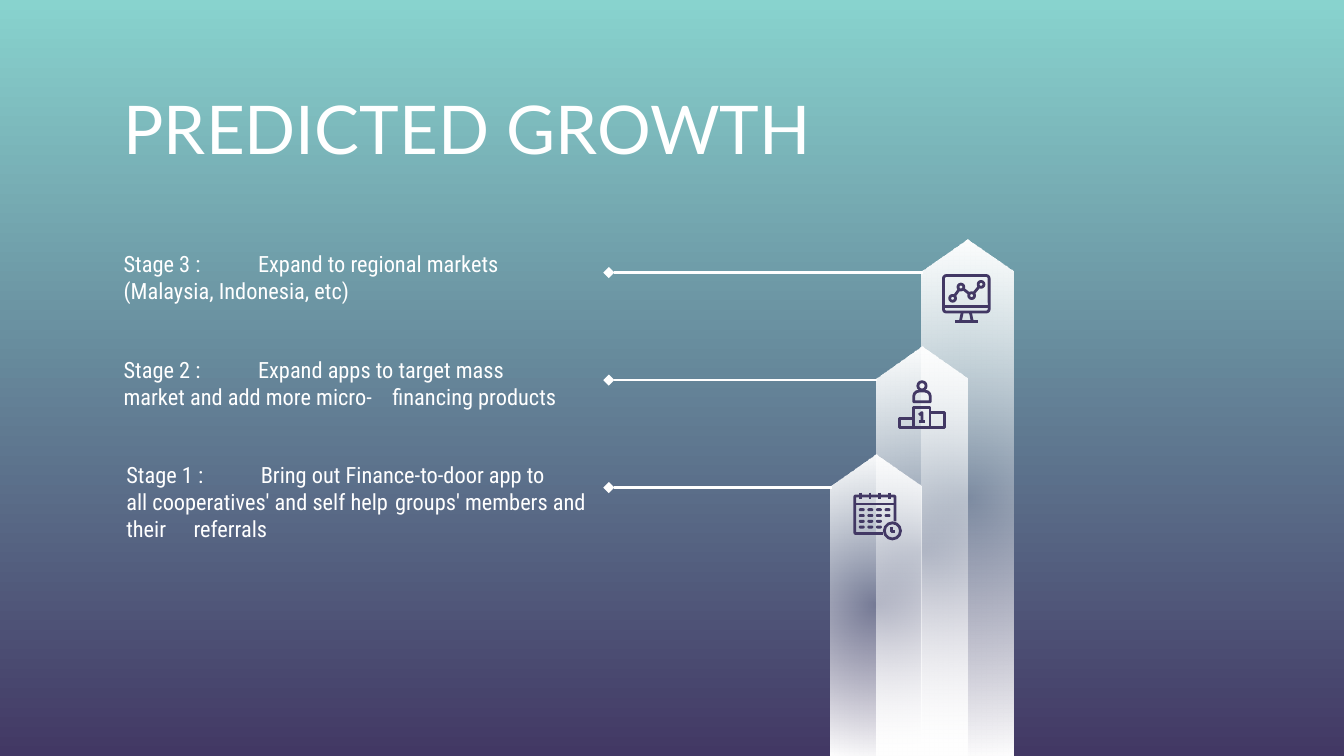
from itertools import pairwise
from math import hypot

from lxml.etree import SubElement
from pptx import Presentation
from pptx.dml.color import RGBColor
from pptx.enum.shapes import MSO_CONNECTOR, MSO_SHAPE
from pptx.enum.text import MSO_ANCHOR, MSO_AUTO_SIZE, PP_ALIGN
from pptx.oxml.ns import qn
from pptx.util import Inches, Pt

CELL = Inches(0.02)
COLUMNS, ROWS = 500, 281.25
WHITE = RGBColor(0xFF, 0xFF, 0xFF)
TEAL = RGBColor(0x88, 0xD3, 0xCE)
PURPLE = RGBColor(0x42, 0x38, 0x64)

STAGES = [
    ("Stage 1 : \tBring out Finance-to-door app to \tall cooperatives' and self help "
     "\tgroups' members and their \treferrals", (42, 166.5, 184.5, 28)),
    ("Stage 2 :\tExpand apps to target mass \tmarket and add more micro-"
     "\tfinancing products", (41, 127.5, 172.5, 28)),
    ("Stage 3 :\tExpand to regional markets \t(Malaysia, Indonesia, etc)",
     (41, 88, 172.5, 28)),
]
PILLAR_LEFT, PILLAR_TOP = 309, 169
PILLAR_WIDTH, PILLAR_RISE, ROOF_HEIGHT = 34, 40, 12
LINE_END = 226.5


def cells(*counts):
    return [round(count * CELL) for count in counts]


def paint_background(slide):
    fill = slide.background.fill
    fill.gradient()
    fill.gradient_angle = 270
    for stop, color in zip(fill.gradient_stops, (TEAL, PURPLE)):
        stop.color.rgb = color


def fill_placeholder(box, text, area, font_name, size):
    box.left, box.top, box.width, box.height = cells(*area)
    frame = box.text_frame
    frame.text = text
    frame.word_wrap = True
    frame.auto_size = MSO_AUTO_SIZE.NONE
    frame.vertical_anchor = MSO_ANCHOR.TOP
    frame.margin_left = frame.margin_right = Inches(0.1)
    frame.margin_top = frame.margin_bottom = Inches(0.1)
    para = frame.paragraphs[0]
    para.alignment = PP_ALIGN.LEFT
    para.space_before = Pt(0)
    para.line_spacing = 1.0
    para.font.name = font_name
    para.font.size = Pt(size)
    para.font.bold = False
    para.font.color.rgb = WHITE
    properties = para._p.get_or_add_pPr()
    properties.set("marL", "0")
    properties.set("indent", "0")
    SubElement(properties, qn("a:buNone"))
    properties.append(properties.find(qn("a:defRPr")))


def add_outline(shapes, points, closed=False):
    start, *others = [cells(*point) for point in points]
    builder = shapes.build_freeform(*start)
    builder.add_line_segments(others, close=closed)
    shape = builder.convert_to_shape()
    shape.shadow.inherit = False
    shape.fill.background()
    return shape


def pillar_corner(level):
    return PILLAR_LEFT + level * PILLAR_WIDTH / 2, PILLAR_TOP - level * PILLAR_RISE


def add_pillar(slide, level):
    left, top = pillar_corner(level)
    right, shoulder = left + PILLAR_WIDTH, top + ROOF_HEIGHT
    points = [((left + right) / 2, top), (left, shoulder), (left, ROWS),
              (right, ROWS), (right, shoulder)]
    shape = add_outline(slide.shapes, points, closed=True)
    shape.line.fill.background()
    properties = shape._element.spPr
    gradient = SubElement(properties, qn("a:gradFill"))
    stops = SubElement(gradient, qn("a:gsLst"))
    for position, alpha in ((0, 21000), (100000, 100000)):
        stop = SubElement(stops, qn("a:gs"), pos=str(position))
        color = SubElement(stop, qn("a:srgbClr"), val=str(WHITE))
        SubElement(color, qn("a:alpha"), val=str(alpha))
    circle = SubElement(gradient, qn("a:path"), path="circle")
    SubElement(circle, qn("a:fillToRect"), l="50000", t="50000", r="50000", b="50000")
    properties.replace(properties.find(qn("a:noFill")), gradient)


def add_pointer(slide, level):
    left, top = pillar_corner(level)
    row = top + 12.4
    ends = cells(left + 0.4, row, LINE_END, row)
    connector = slide.shapes.add_connector(MSO_CONNECTOR.STRAIGHT, *ends)
    connector.line.color.rgb = WHITE
    connector.line.width = Pt(1.5)
    SubElement(connector.line._get_or_add_ln(), qn("a:tailEnd"), type="diamond")
    SubElement(connector._element.spPr, qn("a:effectLst"))


class Icon:
    def __init__(self, slide, left, top):
        self.shapes = slide.shapes.add_group_shape().shapes
        self.left, self.top = left, top

    def ink(self, shape):
        shape.line.color.rgb = PURPLE
        shape.line.width = Pt(1.5)

    def stroke(self, *points):
        moved = [(self.left + x, self.top + y) for x, y in points]
        self.ink(add_outline(self.shapes, moved))

    def form(self, kind, x, y, width, height, rounding=None, solid=False):
        area = cells(self.left + x, self.top + y, width, height)
        shape = self.shapes.add_shape(kind, *area)
        shape.shadow.inherit = False
        if rounding is not None:
            shape.adjustments[0] = rounding
        if solid:
            shape.fill.solid()
            shape.fill.fore_color.rgb = PURPLE
            shape.line.fill.background()
        else:
            shape.fill.background()
            self.ink(shape)


def draw_calendar(slide):
    icon = Icon(slide, 317.5, 183)
    icon.stroke((15.5, 11), (15.5, 1.8), (15.2, 1.5), (0.8, 1.5), (0.5, 1.8),
                (0.5, 15.2), (0.8, 15.5), (11, 15.5))
    icon.stroke((0.5, 4.5), (15.5, 4.5))
    for ring in range(4):
        x = 2.5 + ring * 3.67
        icon.stroke((x, 0.3), (x, 2.7))
    for row, days in enumerate((4, 4, 3, 3)):
        for day in range(days):
            icon.form(MSO_SHAPE.ROUNDED_RECTANGLE, 2 + day * 3.2, 6.1 + row * 2.15,
                      2.2, 1.1, 0.5, solid=True)
    icon.form(MSO_SHAPE.OVAL, 11.5, 11.5, 6, 6)
    icon.stroke((14.3, 13.2), (14.3, 14.8), (15.4, 14.8))


def draw_podium(slide):
    icon = Icon(slide, 334, 141.5)
    icon.form(MSO_SHAPE.OVAL, 7.45, 0.5, 3.1, 3.1)
    icon.form(MSO_SHAPE.ROUND_2_SAME_RECTANGLE, 5.9, 4, 6.2, 4, 0.5)
    for block in ((0.5, 14.1, 5.4, 3.4), (5.9, 10, 6.1, 7.5), (12, 12, 5.5, 5.5)):
        icon.form(MSO_SHAPE.RECTANGLE, *block)
    icon.stroke((7.9, 12.9), (9, 12), (9, 15.3))
    icon.stroke((7.9, 15.3), (10.1, 15.3))


def draw_monitor(slide):
    icon = Icon(slide, 350.5, 102)
    icon.form(MSO_SHAPE.ROUNDED_RECTANGLE, 0.5, 0.5, 17, 13.6, 0.08)
    icon.stroke((0.5, 12), (17.5, 12))
    for foot, neck in ((6.8, 7.5), (11.2, 10.5)):
        icon.stroke((neck, 14.1), (foot, 17.5))
    icon.stroke((4.8, 17.5), (13.2, 17.5))
    nodes, radius = [(3.9, 9), (7, 4.8), (11, 8), (14.5, 3.8)], 1.1
    for x, y in nodes:
        icon.form(MSO_SHAPE.OVAL, x - radius, y - radius, 2 * radius, 2 * radius)
    for (x1, y1), (x2, y2) in pairwise(nodes):
        share = radius / hypot(x2 - x1, y2 - y1)
        dx, dy = (x2 - x1) * share, (y2 - y1) * share
        icon.stroke((x1 + dx, y1 + dy), (x2 - dx, y2 - dy))


def main():
    deck = Presentation()
    deck.slide_width, deck.slide_height = cells(COLUMNS, ROWS)
    slide = deck.slides.add_slide(deck.slide_layouts[4])
    paint_background(slide)
    title, *bodies = list(slide.placeholders)
    fill_placeholder(title, "PREDICTED GROWTH", (41, 27.5, 459, 36.5), "Lato", 36)
    for box, (text, area) in zip(bodies, reversed(STAGES)):
        fill_placeholder(box, text, area, "Roboto Condensed", 12)
    for spare in bodies[len(STAGES):]:
        spare._element.getparent().remove(spare._element)
    for level in reversed(range(len(STAGES))):
        add_pillar(slide, level)
    for level in range(len(STAGES)):
        add_pointer(slide, level)
    draw_calendar(slide)
    draw_podium(slide)
    draw_monitor(slide)
    deck.save("out.pptx")


if __name__ == "__main__":
    main()
